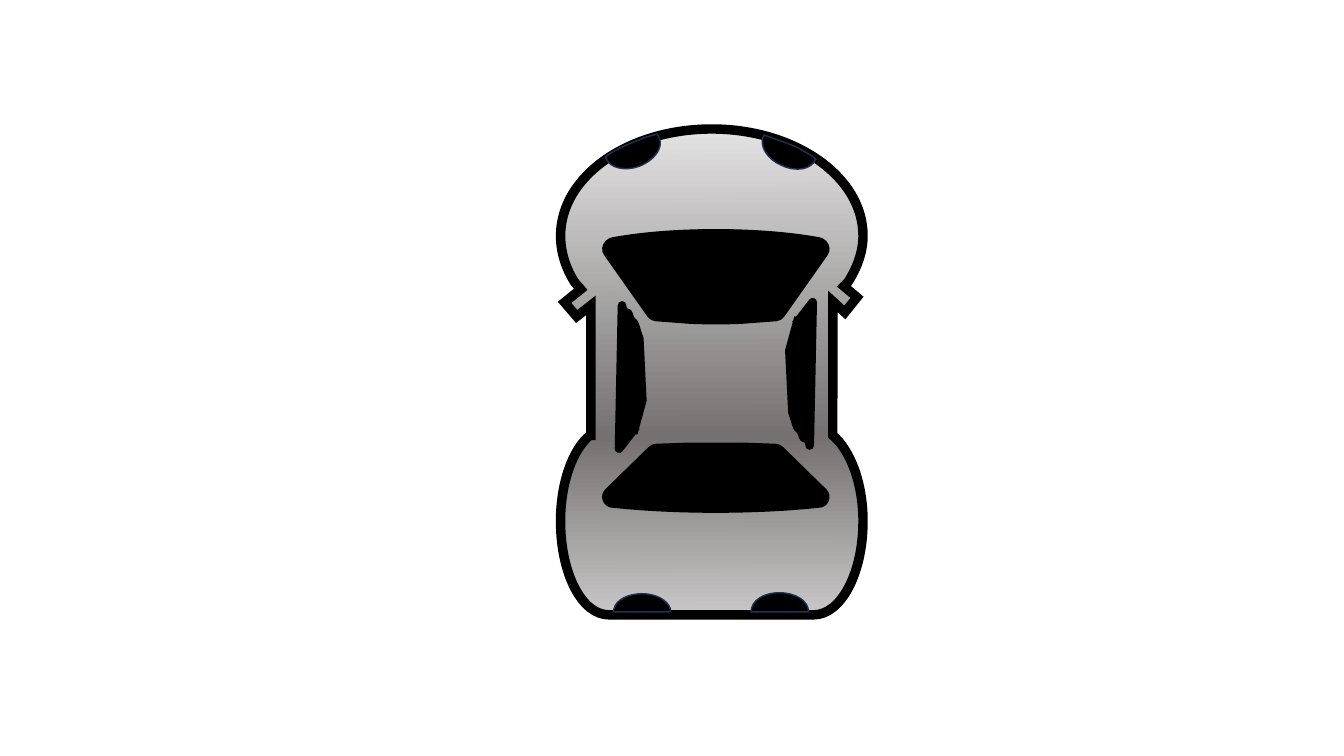
import copy
import math
from dataclasses import dataclass

import pptx
import pptx.dml.color
import pptx.oxml.ns
import pptx.shapes.autoshape
import pptx.util
from lxml import etree

Point = tuple[float, float]
Step = tuple[str, list[Point]]
COMMANDS = {"M": ("a:moveTo", 1), "L": ("a:lnTo", 1), "C": ("a:cubicBezTo", 3), "Z": ("a:close", 0)}
CURVE_SAMPLES = 50


@dataclass
class CarPart:
    outline: str  # M, L, C and Z commands, in slide inches
    line: str
    line_width: float
    angle: float = 0
    fill: str = "000000"
    join: str = "round"


BODY = CarPart(
    "M 7.06 1.28 C 7.88 1.28 8.56 1.75 8.56 2.34 C 8.56 2.5 8.5 2.66 8.41 2.8 "
    "L 8.37 2.84 L 8.5 2.95 L 8.38 3.1 L 8.26 2.99 L 8.26 4.32 L 8.26 4.32 "
    "C 8.43 4.46 8.56 4.79 8.56 5.17 C 8.56 5.69 8.34 6.1 8.07 6.1 "
    "L 6.04 6.1 C 5.77 6.1 5.56 5.69 5.56 5.17 C 5.56 4.79 5.68 4.46 5.85 4.32 "
    "L 5.86 4.32 L 5.86 3.03 L 5.72 3.14 L 5.6 3 L 5.76 2.87 L 5.7 2.8 "
    "C 5.61 2.66 5.56 2.5 5.56 2.34 C 5.56 1.75 6.23 1.28 7.06 1.28 Z",
    "000000", 6.75, angle=319.9, join="miter")
BODY_STOPS = [(0, "FFFFFF"), (0.57, "767171"), (1, "FFFFFF"), (1, "C7D5ED")]
BODY_GRADIENT_ANGLE = 230

WINDSHIELD = CarPart(
    "M 7.1 2.38 C 7.48 2.38 7.84 2.41 8.11 2.46 L 8.12 2.47 L 7.69 3.08 L 7.42 3.1 "
    "C 7.32 3.11 7.21 3.11 7.1 3.11 C 6.99 3.11 6.88 3.11 6.78 3.1 "
    "L 6.51 3.08 L 6.08 2.47 L 6.09 2.46 C 6.36 2.41 6.71 2.38 7.1 2.38 Z",
    "000000", 15.5, angle=180)
REAR_WINDOW = CarPart(
    "M 7.1 4.98 C 6.71 4.98 6.36 4.96 6.09 4.93 L 6.08 4.93 L 6.51 4.51 L 6.78 4.5 "
    "C 6.88 4.5 6.99 4.5 7.1 4.5 C 7.21 4.5 7.32 4.5 7.42 4.5 "
    "L 7.69 4.51 L 8.12 4.93 L 8.11 4.93 C 7.84 4.96 7.48 4.98 7.1 4.98 Z",
    "000000", 15.5)
SIDE_WINDOW = CarPart(
    "M 7.92 3.15 L 7.83 3.48 L 7.86 4.09 C 7.88 4.14 7.89 4.19 7.91 4.24 "
    "C 7.91 4.25 7.94 4.26 7.94 4.27 C 8 4.37 7.92 4.32 8.02 4.36 "
    "C 8.03 4.41 8.03 4.39 8.03 4.42 L 8.03 4.42 L 8.06 3 L 7.89 3.22",
    "000000", 6.25, angle=3.3)
SIDE_WINDOW_CENTRE = (7.1, 3.725)  # the second side window is a half turn about this point
HEADLIGHTS = CarPart(
    "M 7.58 1.34 L 7.83 1.43 C 7.92 1.46 7.99 1.51 8.06 1.55 L 8.09 1.58 L 8.09 1.58 "
    "C 8.05 1.68 7.9 1.71 7.75 1.64 C 7.61 1.58 7.53 1.45 7.57 1.35 Z "
    "M 6.52 1.33 L 6.54 1.37 C 6.58 1.47 6.49 1.59 6.34 1.65 "
    "C 6.2 1.7 6.05 1.67 6.01 1.57 L 6.01 1.55 L 6.04 1.53 "
    "C 6.15 1.46 6.28 1.41 6.41 1.36 Z",
    "1E3256", 1, angle=339.4)
TAIL_LIGHTS = CarPart(
    "M 6.37 5.89 C 6.5 5.89 6.62 5.95 6.65 6.04 L 6.65 6.07 L 6.08 6.07 L 6.09 6.04 "
    "C 6.11 5.95 6.23 5.89 6.37 5.89 Z "
    "M 7.73 5.88 C 7.89 5.88 8.02 5.96 8.02 6.07 L 7.45 6.07 "
    "C 7.45 5.96 7.57 5.88 7.73 5.88 Z",
    "1E3256", 1)


def colour(value: str) -> pptx.dml.color.RGBColor:
    return pptx.dml.color.RGBColor.from_string(value)


def read_steps(outline: str) -> list[Step]:
    words = iter(outline.split())
    return [(command, [(float(next(words)), float(next(words))) for _ in range(COMMANDS[command][1])])
            for command in words]


def turn(point: Point, angle: float) -> Point:
    x, y = point
    cosine, sine = math.cos(math.radians(angle)), math.sin(math.radians(angle))
    return x * cosine - y * sine, x * sine + y * cosine


def bezier(a: float, b: float, c: float, d: float, t: float) -> float:
    return a * (1 - t) ** 3 + 3 * b * t * (1 - t) ** 2 + 3 * c * t * t * (1 - t) + d * t ** 3


def bounds(steps: list[Step]) -> tuple[float, float, float, float]:
    """Left, top, right and bottom of the outline itself."""
    touched: list[Point] = []
    for command, points in steps:
        if command == "C":
            xs, ys = zip(touched[-1], *points)
            touched += [(bezier(*xs, i / CURVE_SAMPLES), bezier(*ys, i / CURVE_SAMPLES))
                        for i in range(1, CURVE_SAMPLES + 1)]
        else:
            touched += points
    xs, ys = zip(*touched)
    return min(xs), min(ys), max(xs), max(ys)


def draw(shapes, part: CarPart, half_turn: bool = False) -> pptx.shapes.autoshape.Shape:
    steps = read_steps(part.outline)
    angle = part.angle
    if half_turn:
        cx, cy = SIDE_WINDOW_CENTRE
        steps = [(command, [(2 * cx - x, 2 * cy - y) for x, y in points]) for command, points in steps]
        angle += 180

    # Frame before rotation, placed so that its centre stays put when turned
    steps = [(command, [turn(point, -angle) for point in points]) for command, points in steps]
    left, top, right, bottom = bounds(steps)
    width, height = right - left, bottom - top
    centre_x, centre_y = turn((left + width / 2, top + height / 2), angle)
    frame_left, frame_top = centre_x - width / 2, centre_y - height / 2
    builder = shapes.build_freeform(pptx.util.Inches(frame_left), pptx.util.Inches(frame_top))
    corner = (pptx.util.Inches(frame_left + width), pptx.util.Inches(frame_top + height))
    shape = builder.add_line_segments([corner], close=False).convert_to_shape()

    # Outline with true curves
    outline = shape._element.spPr.find(".//" + pptx.oxml.ns.qn("a:path"))
    for child in list(outline):
        outline.remove(child)
    for command, points in steps:
        segment = etree.SubElement(outline, pptx.oxml.ns.qn(COMMANDS[command][0]))
        for x, y in points:
            etree.SubElement(segment, pptx.oxml.ns.qn("a:pt"),
                             x=str(int(pptx.util.Inches(x - left))),
                             y=str(int(pptx.util.Inches(y - top))))

    shape.rotation = angle
    shape.shadow.inherit = False
    shape.fill.solid()
    shape.fill.fore_color.rgb = colour(part.fill)
    shape.line.color.rgb = colour(part.line)
    shape.line.width = pptx.util.Pt(part.line_width)
    line = shape._element.spPr.find(pptx.oxml.ns.qn("a:ln"))
    join = etree.SubElement(line, pptx.oxml.ns.qn(f"a:{part.join}"))
    if part.join == "miter":
        join.set("lim", "800000")
    return shape


def shade(shape: pptx.shapes.autoshape.Shape, stops: list[tuple[float, str]], angle: float) -> None:
    shape.fill.gradient()
    shape.fill.gradient_angle = angle
    stop_list = shape._element.spPr.find(".//" + pptx.oxml.ns.qn("a:gsLst"))
    while len(stop_list) < len(stops):
        stop_list.append(copy.deepcopy(stop_list[-1]))
    for stop, (position, value) in zip(shape.fill.gradient_stops, stops):
        stop.position = position
        stop.color.rgb = colour(value)


def main() -> None:
    deck = pptx.Presentation()
    deck.slide_width = pptx.util.Inches(13.33)
    deck.slide_height = pptx.util.Inches(7.5)
    page = deck.slides.add_slide(deck.slide_layouts[6])

    # Body
    shade(draw(page.shapes, BODY), BODY_STOPS, BODY_GRADIENT_ANGLE)

    # Windows
    draw(page.shapes, WINDSHIELD)
    draw(page.shapes, REAR_WINDOW)
    side_windows = page.shapes.add_group_shape()
    for half_turn in (False, True):
        draw(side_windows.shapes, SIDE_WINDOW, half_turn)

    # Lights
    draw(page.shapes, HEADLIGHTS)
    draw(page.shapes, TAIL_LIGHTS)

    deck.save("out.pptx")


if __name__ == "__main__":
    main()
